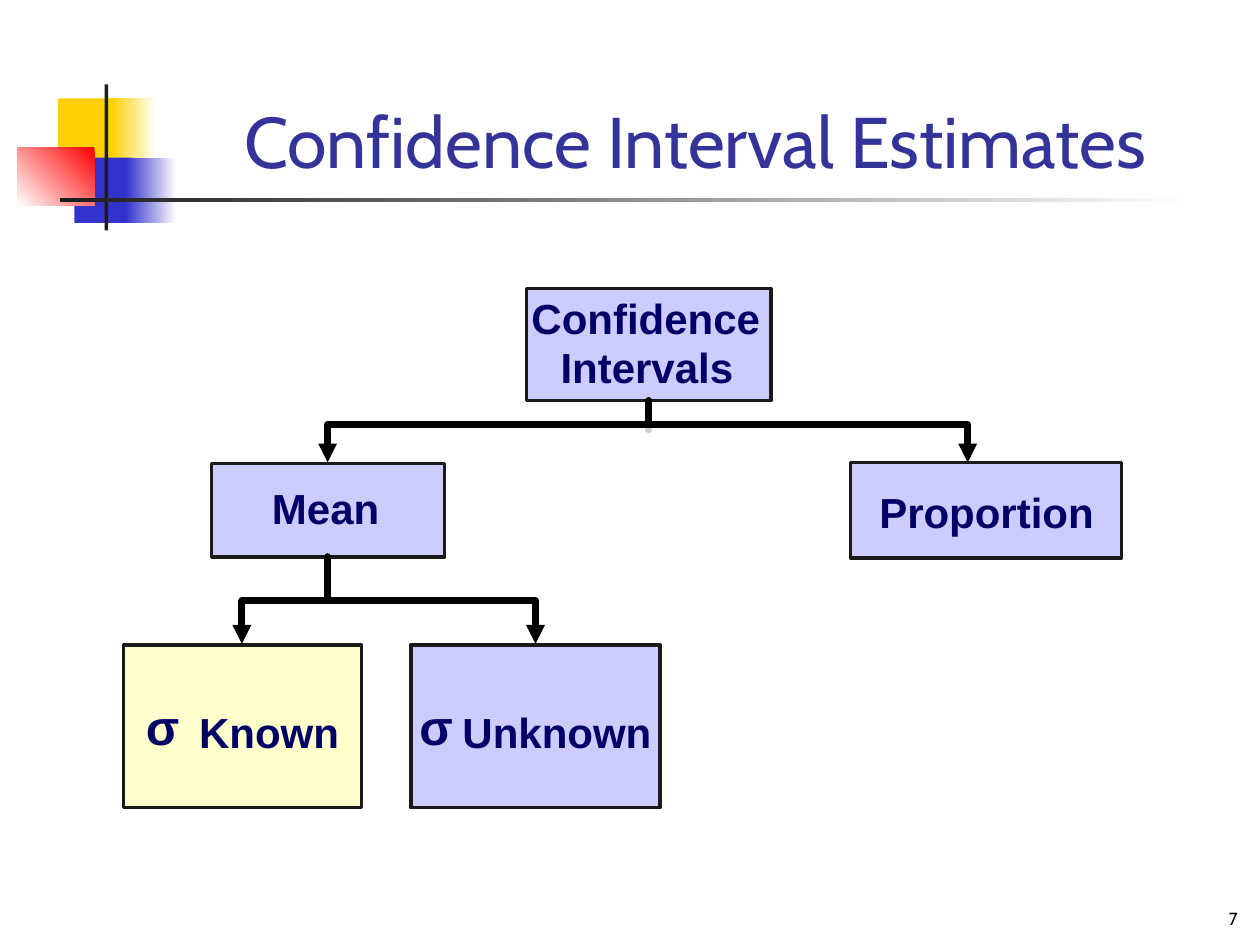
from pptx import Presentation
from pptx.dml.color import RGBColor
from pptx.enum.shapes import MSO_CONNECTOR, MSO_SHAPE
from pptx.enum.text import MSO_ANCHOR, PP_ALIGN
from pptx.oxml.ns import qn
from pptx.util import Inches, Pt
from lxml.etree import SubElement

COLORS = {
    "white": "FFFFFF", "black": "000000", "yellow": "FFCF01", "blue": "3333CC",
    "red": "FF0000", "bar": "1C1C1C", "title": "333399", "label": "000066",
    "lavender": "CCCCFF", "cream": "FFFFCC", "outline": "1A1A1A", "stub": "CDCDCD",
}

ORNAMENT = [
    (0.46, 0.78, 0.48, 0.52, ["yellow"], 0),
    (0.88, 0.78, 0.36, 0.52, ["white", "yellow"], 180),
    (0.59, 1.25, 0.46, 0.52, ["blue"], 0),
    (1, 1.25, 0.4, 0.52, ["white", "blue"], 180),
    (0.14, 1.17, 0.61, 0.46, ["red", "white"], 225),
    (0.83, 0.67, 0.03, 1.16, ["bar"], 0),
    (0.48, 1.57, 9, 0.03, ["white", "bar"], 180),
]

NODES = {
    "root": (4.18, 2.29, 1.94, 0.89, "lavender"),
    "mean": (1.68, 3.68, 1.85, 0.74, "lavender"),
    "proportion": (6.75, 3.67, 2.15, 0.76, "lavender"),
    "known": (0.98, 5.12, 1.89, 1.29, "cream"),
    "unknown": (3.26, 5.12, 1.98, 1.29, "lavender"),
}

LABELS = [
    ("Confidence", 4.12, 2.27, 2.1, 0.5, 24, 0.1),
    ("Intervals", 4.35, 2.66, 1.62, 0.5, 24, 0.1),
    ("Mean", 2.06, 3.78, 1.1, 0.5, 24, 0.1),
    ("Proportion", 6.88, 3.81, 2.39, 0.5, 24, 0.1),
    ("σ", 1.06, 5.48, 0.48, 0.56, 28, 0.1),
    ("Known", 1.39, 5.56, 1.45, 0.5, 24, 0.19),
    ("σ", 3.23, 5.48, 0.48, 0.56, 28, 0.1),
    ("Unknown", 3.48, 5.56, 1.85, 0.5, 24, 0.19),
]

BRANCHES = [
    (5.15, 3.18, 3.37, 2.6, 3.67),
    (5.15, 3.18, 3.37, 7.68, 3.67),
    (2.6, 4.42, 4.77, 1.92, 5.11),
    (2.6, 4.42, 4.77, 4.25, 5.11),
]
ARROW = 0.15


def rgb(name):
    """Return the named palette colour."""
    return RGBColor.from_string(COLORS[name])


def add_block(page, left, top, width, height, fills, angle=0, outline=None):
    """Add a rectangle with a solid or two-stop gradient fill."""
    block = page.shapes.add_shape(
        MSO_SHAPE.RECTANGLE, Inches(left), Inches(top), Inches(width), Inches(height))
    block.shadow.inherit = False
    if len(fills) == 1:
        block.fill.solid()
        block.fill.fore_color.rgb = rgb(fills[0])
    else:
        block.fill.gradient()
        block.fill.gradient_angle = angle
        for stop, name, position in zip(block.fill.gradient_stops, fills, (0, 1)):
            stop.color.rgb = rgb(name)
            stop.position = position
    if outline:
        block.line.color.rgb = rgb(outline)
        block.line.width = Pt(2)
    else:
        block.line.fill.background()
    return block


def add_text(page, text, left, top, width, height, *, size, font="Arial", color="label",
             bold=False, align=PP_ALIGN.LEFT, anchor=MSO_ANCHOR.TOP, inset=0.1):
    """Add a text box holding one formatted line."""
    box = page.shapes.add_textbox(Inches(left), Inches(top), Inches(width), Inches(height))
    frame = box.text_frame
    frame.word_wrap = True
    frame.vertical_anchor = anchor
    frame.margin_left = Inches(inset)
    para = frame.paragraphs[0]
    para.alignment = align
    span = para.add_run()
    span.text = text
    span.font.name = font
    span.font.size = Pt(size)
    span.font.bold = bold
    span.font.color.rgb = rgb(color)


def add_outline(page, points, close):
    """Add a freeform through points given in inches."""
    corners = [(Inches(x), Inches(y)) for x, y in points]
    builder = page.shapes.build_freeform(*corners[0])
    builder.add_line_segments(corners[1:], close=close)
    outline = builder.convert_to_shape()
    outline.shadow.inherit = False
    return outline


def style_line(shape, color):
    """Give a shape a thick line with round caps and joins."""
    shape.line.color.rgb = rgb(color)
    shape.line.width = Pt(4)
    line = shape.element.spPr.find(qn("a:ln"))
    line.set("cap", "rnd")
    SubElement(line, qn("a:round"))


def add_branch(page, start_x, start_y, bend_y, end_x, end_y):
    """Add a bent line ending in a downward arrowhead."""
    neck = end_y - ARROW
    bent = add_outline(
        page, [(start_x, start_y), (start_x, bend_y), (end_x, bend_y), (end_x, neck)], False)
    bent.fill.background()
    style_line(bent, "black")
    half = ARROW / 2
    head = add_outline(
        page, [(end_x - half, neck), (end_x, end_y), (end_x + half, neck)], True)
    head.fill.solid()
    head.fill.fore_color.rgb = rgb("black")
    head.line.fill.background()


def add_stub(page, box):
    """Add the short grey line below the root box."""
    middle = box.left + box.width // 2
    stub = page.shapes.add_connector(
        MSO_CONNECTOR.STRAIGHT, middle, box.top + box.height, middle, Inches(3.41))
    stub.begin_connect(box, 2)
    style_line(stub, "stub")
    SubElement(stub.element.spPr, qn("a:effectLst"))


def main():
    """Build and save the slide."""
    deck = Presentation()
    deck.slide_width, deck.slide_height = Inches(10), Inches(7.5)
    page = deck.slides.add_slide(deck.slide_layouts[6])
    for piece in ORNAMENT:
        add_block(page, *piece)
    add_text(page, "Confidence Interval Estimates", 1.26, 0.25, 8.52, 1.25, size=41,
             font="Cabin", color="title", align=PP_ALIGN.CENTER, anchor=MSO_ANCHOR.BOTTOM)
    boxes = {name: add_block(page, *place, [fill], outline="outline")
             for name, (*place, fill) in NODES.items()}
    add_stub(page, boxes["root"])
    for branch in BRANCHES:
        add_branch(page, *branch)
    for text, *place, size, inset in LABELS:
        add_text(page, text, *place, size=size, bold=True, inset=inset)
    add_text(page, "7", 7.84, 6.91, 2.08, 0.51, size=10, font="Cabin", color="black",
             align=PP_ALIGN.RIGHT, anchor=MSO_ANCHOR.BOTTOM)
    deck.save("out.pptx")


if __name__ == "__main__":
    main()
